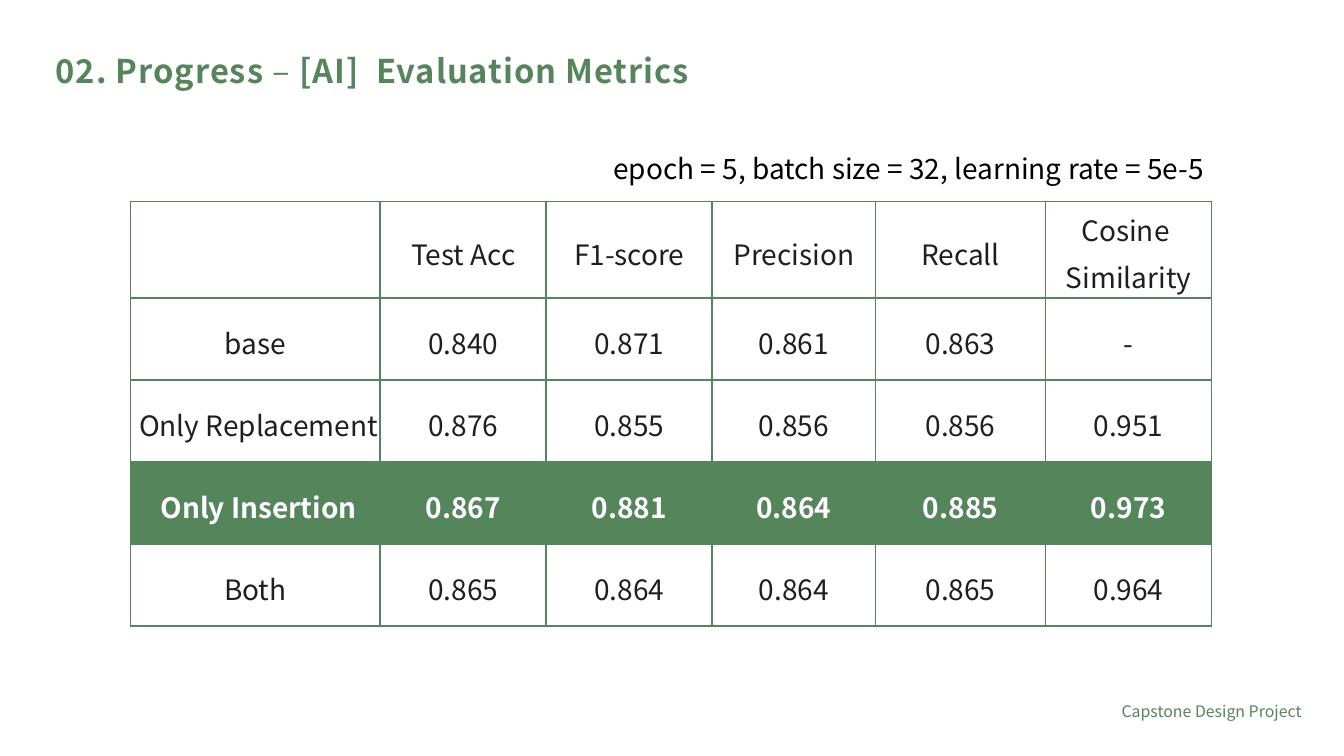
from pptx import Presentation
from pptx.dml.color import RGBColor
from pptx.enum.text import MSO_ANCHOR, PP_ALIGN
from pptx.oxml.ns import qn
from pptx.util import Inches, Pt
from lxml.etree import SubElement

FONT = "Noto Sans CJK KR"
COLORS = {"green": "55855B", "dark": "1F1F1F", "white": "FFFFFF", "black": "000000"}


def add_run(paragraph, text, size, color, bold=False, spacing=0):
    run = paragraph.add_run()
    run.text = text
    run.font.name = FONT
    run.font.size = Pt(size)
    run.font.bold = bold
    run.font.color.rgb = RGBColor.from_string(COLORS[color])
    properties = run.font._element
    SubElement(properties, qn("a:ea")).set("typeface", FONT)
    if spacing:
        properties.set("spc", str(spacing * 100))


def add_text(left, top, width, height, align, line_spacing, anchor=MSO_ANCHOR.TOP):
    frame = slide.shapes.add_textbox(
        Inches(left), Inches(top), Inches(width), Inches(height)).text_frame
    frame.word_wrap = True
    frame.vertical_anchor = anchor
    frame.margin_left = frame.margin_right = frame.margin_top = frame.margin_bottom = 0
    paragraph = frame.paragraphs[0]
    paragraph.alignment = align
    paragraph.line_spacing = line_spacing
    return paragraph


presentation = Presentation()
presentation.slide_width = Inches(20)
presentation.slide_height = Inches(11.25)
slide = presentation.slides.add_slide(presentation.slide_layouts[6])

# Metrics table
rows = [
    ["", "Test Acc", "F1-score", "Precision", "Recall", "Cosine \nSimilarity"],
    ["base", "0.840", "0.871", "0.861", "0.863", "-"],
    [" Only Replacement", "0.876", "0.855", "0.856", "0.856", "0.951"],
    [" Only Insertion", "0.867", "0.881", "0.864", "0.885", "0.973"],
    ["Both", "0.865", "0.864", "0.864", "0.865", "0.964"],
]
column_widths = [3.72, 2.47, 2.47, 2.43, 2.53, 2.47]
row_height = 1.22
best_row = 3

table = slide.shapes.add_table(
    len(rows), len(column_widths), Inches(1.94), Inches(3),
    Inches(sum(column_widths)), Inches(row_height * len(rows))).table
table.first_row = False
table.horz_banding = False
for column, width in zip(table.columns, column_widths):
    column.width = Inches(width)

for row_index, values in enumerate(rows):
    table.rows[row_index].height = Inches(row_height)
    best = row_index == best_row
    for column_index, value in enumerate(values):
        cell = table.cell(row_index, column_index)
        cell.vertical_anchor = MSO_ANCHOR.MIDDLE
        cell.margin_left = cell.margin_right = Inches(0.02)
        cell.margin_top = cell.margin_bottom = Inches(0.02)

        # Borders come before the fill in the cell properties
        cell_properties = cell._tc.get_or_add_tcPr()
        for side in ("a:lnL", "a:lnR", "a:lnT", "a:lnB"):
            line = SubElement(cell_properties, qn(side), w=str(Pt(2.13)))
            line_fill = SubElement(line, qn("a:solidFill"))
            SubElement(line_fill, qn("a:srgbClr"), val=COLORS["green"])
        if row_index == 0:
            cell.fill.background()
        else:
            cell.fill.solid()
            cell.fill.fore_color.rgb = RGBColor.from_string(
                COLORS["green" if best else "white"])

        if not value:
            continue
        frame = cell.text_frame
        for line_index, text in enumerate(value.split("\n")):
            paragraph = frame.add_paragraph() if line_index else frame.paragraphs[0]
            paragraph.alignment = PP_ALIGN.CENTER
            paragraph.line_spacing = 1.16
            add_run(paragraph, text, 30, "white" if best else "dark", best)

# Footer
footer = add_text(15.29, 10.44, 4.08, 0.33, PP_ALIGN.RIGHT, 1.0)
add_run(footer, "Capstone Design Project", 17, "green")

# Title
title = add_text(0.83, 0.72, 9.9, 0.67, PP_ALIGN.LEFT, 1.0, MSO_ANCHOR.MIDDLE)
for text, bold in [("02. Progress ", True), ("– ", False),
                   ("[AI]  Evaluation Metrics", True)]:
    add_run(title, text, 35, "green", bold, spacing=1)

# Training settings
settings = add_text(8.11, 2.18, 9.9, 0.58, PP_ALIGN.RIGHT, 1.16)
add_run(settings, "epoch = 5, batch size = 32, learning rate = 5e-5 ", 30, "black")

presentation.save("out.pptx")
